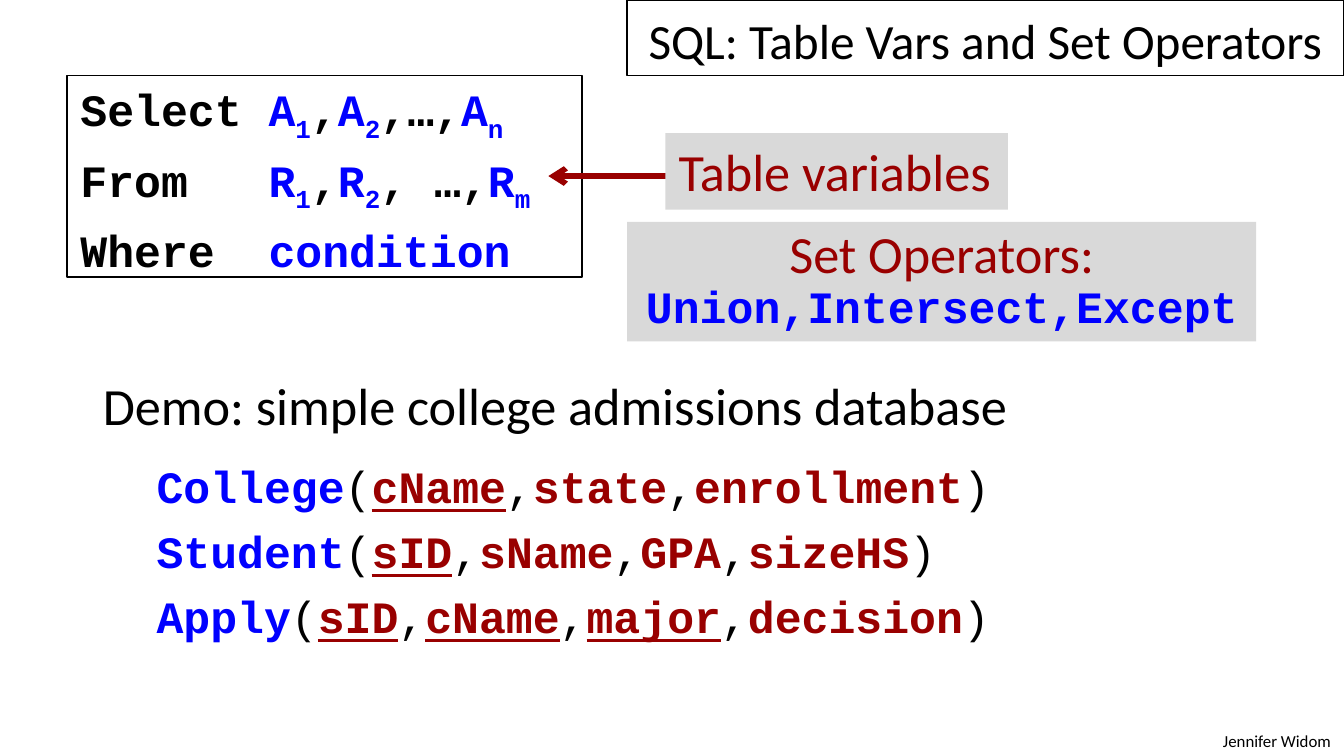
from dataclasses import dataclass

from pptx import Presentation
from pptx.dml.color import RGBColor
from pptx.enum.shapes import MSO_CONNECTOR as Connector, MSO_SHAPE as Shape
from pptx.enum.text import MSO_ANCHOR as Anchor, PP_ALIGN as Align
from pptx.oxml.ns import qn
from pptx.util import Inches, Pt
from lxml.etree import SubElement

WIDTH = 10
HEIGHT = WIDTH * 9 / 16


@dataclass(frozen=True)
class Theme:
    ink: str = "000000"
    blue: str = "0000FF"
    red: str = "990000"
    panel: str = "D9D9D9"
    prose: str = "Calibri"
    code: str = "Courier New"
    heading: float = 28
    title: float = 26.4
    listing: float = 24
    credit: float = 9
    hairline: float = 0.75
    arrow: float = 3


THEME = Theme()


def assign(target, values):
    for name, value in values.items():
        setattr(target, name, value)


def prose(text, size=THEME.heading, color=THEME.ink):
    return text, color, {"name": THEME.prose, "size": Pt(size)}


def code(text, color=THEME.ink, bold=True, underline=None):
    style = {"name": THEME.code, "size": Pt(THEME.listing),
             "bold": bold, "underline": underline}
    return text, color, style


def subscripted(letter, index):
    text, color, style = code(index, THEME.blue)
    return [code(letter, THEME.blue), (text, color, style | {"baseline": "-25000"})]


def clause(keyword, letter, last, gap):
    return [code(keyword + "\t"), *subscripted(letter, "1"), code(","),
            *subscripted(letter, "2"), code(gap), *subscripted(letter, last)]


def relation(name, keys, others):
    spans = [code(name, THEME.blue), code("(", bold=False)]
    for position, field in enumerate(keys + others):
        if position:
            spans.append(code(",", bold=False))
        spans.append(code(field, THEME.red, underline=field in keys or None))
    return spans + [code(")", bold=False)]


def add_span(para, text, color, style):
    span = para.add_run()
    span.text = text
    span.font.color.rgb = RGBColor.from_string(color)
    style = dict(style)
    baseline = style.pop("baseline", None)
    assign(span.font, style)
    if baseline:
        span.font._element.set("baseline", baseline)


def fill_text(box, lines, wrap=True, anchor=Anchor.TOP):
    frame = box.text_frame
    assign(frame, {"word_wrap": wrap, "vertical_anchor": anchor})
    for position, (spans, layout) in enumerate(lines):
        para = frame.add_paragraph() if position else frame.paragraphs[0]
        layout = {"alignment": Align.LEFT} | layout
        properties = para._p.get_or_add_pPr()
        indent = layout.pop("left_indent", None)
        tab = layout.pop("tab", None)
        assign(para, layout)
        if indent:
            properties.set("marL", str(indent))
        if tab:
            stops = SubElement(properties, qn("a:tabLst"))
            SubElement(stops, qn("a:tab"), pos=str(tab), algn="l")
        for span in spans:
            add_span(para, *span)


def add_text(page, area, lines):
    box = page.shapes.add_textbox(*map(Inches, area))
    fill_text(box, lines)


def add_box(page, area, lines, fill=None, **frame):
    box = page.shapes.add_shape(Shape.RECTANGLE, *map(Inches, area))
    box.shadow.inherit = False
    if fill:
        box.fill.solid()
        box.fill.fore_color.rgb = RGBColor.from_string(fill)
        box.line.fill.background()
    else:
        box.fill.background()
        box.line.color.rgb = RGBColor.from_string(THEME.ink)
        box.line.width = Pt(THEME.hairline)
    fill_text(box, lines, **frame)


def add_arrow(page, start, end):
    arrow = page.shapes.add_connector(Connector.STRAIGHT, *map(Inches, start + end))
    arrow.line.color.rgb = RGBColor.from_string(THEME.red)
    arrow.line.width = Pt(THEME.arrow)
    SubElement(arrow.line._get_or_add_ln(), qn("a:headEnd"), type="arrow")
    SubElement(arrow._element.spPr, qn("a:effectLst"))


def main():
    deck = Presentation()
    assign(deck, {"slide_width": Inches(WIDTH), "slide_height": Inches(HEIGHT)})
    page = deck.slides.add_slide(deck.slide_layouts[6])
    middle = WIDTH * 7 / 15
    band = HEIGHT * 0.1
    centred = {"alignment": Align.CENTER}
    tight = centred | {"line_spacing": 0.9}
    query = {"space_before": Pt(THEME.listing * 0.2), "tab": Inches(1.4)}
    schema = {"space_after": Pt(6), "left_indent": Inches(0.4)}

    add_text(page, (WIDTH - 1.08, HEIGHT - 0.24, 1.08, 0.25),
             [([prose("Jennifer Widom", THEME.credit)], {"alignment": Align.RIGHT})])
    add_box(page, (WIDTH * 0.05, band, 3.83, 1.5), [
        (clause("Select", "A", "n", ",…,"), query),
        (clause("From", "R", "m", ", …,"), query),
        ([code("Where\t"), code("condition", THEME.blue)], query),
    ])
    add_box(page, (middle, 0, WIDTH - middle, band),
            [([prose("SQL: Table Vars and Set Operators", THEME.title)], centred)],
            anchor=Anchor.BOTTOM)
    add_text(page, (WIDTH / 15, 2.73, 8.17, 2.12), [
        ([prose("Demo: simple college admissions database")], {"space_after": Pt(12)}),
        (relation("College", ["cName"], ["state", "enrollment"]), schema),
        (relation("Student", ["sID"], ["sName", "GPA", "sizeHS"]), schema),
        (relation("Apply", ["sID", "cName", "major"], ["decision"]), schema),
    ])
    add_box(page, (middle, 1.65, 4.68, 0.89), [
        ([prose("Set Operators:", color=THEME.red)], tight),
        ([code("Union,Intersect,Except", THEME.blue)], tight),
    ], fill=THEME.panel, wrap=False)
    add_arrow(page, (4.08, 1.31), (5, 1.31))
    add_box(page, (4.95, 0.99, 2.55, 0.57),
            [([prose("Table variables", color=THEME.red)], {})],
            fill=THEME.panel, wrap=False)
    deck.save("out.pptx")


if __name__ == "__main__":
    main()
